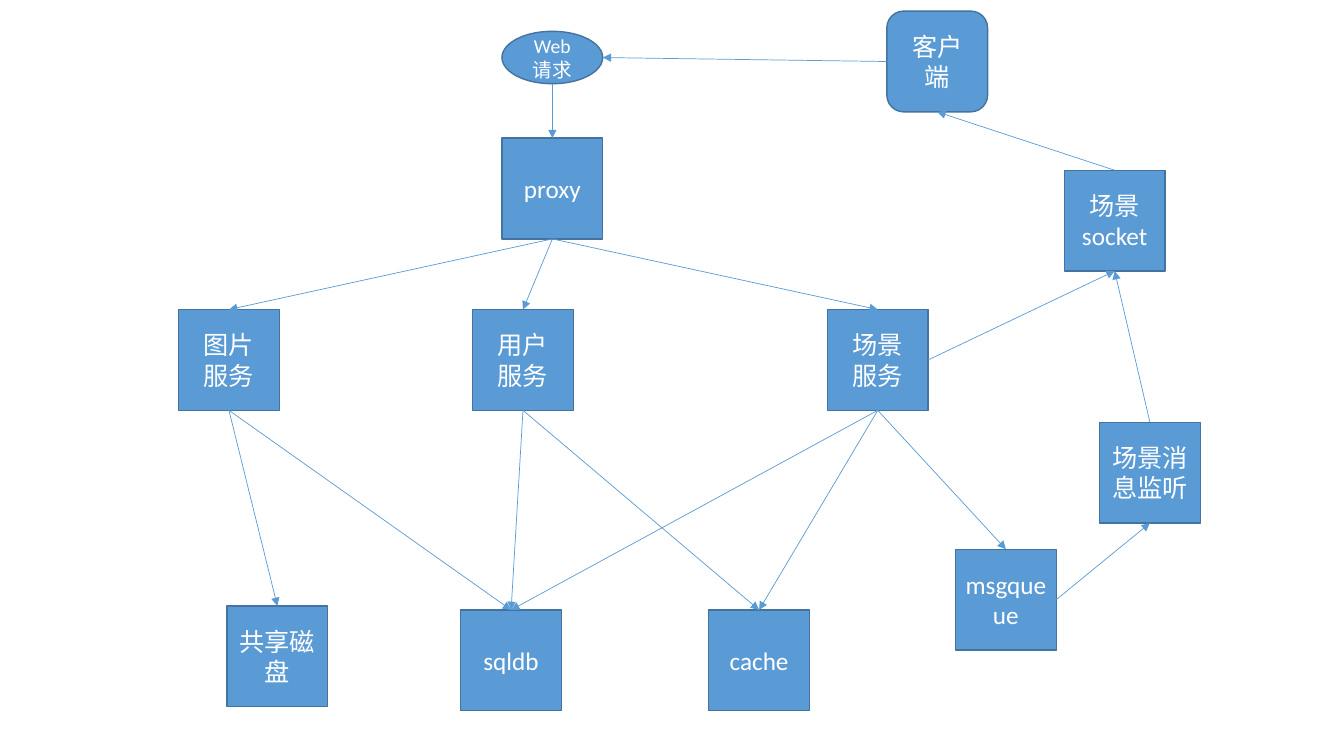
import pptx
import pptx.dml.color
import pptx.enum.shapes
import pptx.enum.text
import pptx.oxml
import pptx.oxml.ns
import pptx.util

Cm = pptx.util.Cm
Pt = pptx.util.Pt
FORM = pptx.enum.shapes.MSO_SHAPE
BLUE = pptx.dml.color.RGBColor(0x5B, 0x9B, 0xD5)
DARK_BLUE = pptx.dml.color.RGBColor(0x43, 0x73, 0x9E)
WHITE = pptx.dml.color.RGBColor(0xFF, 0xFF, 0xFF)
SIDE = 2.54
TOP, LEFT, BOTTOM, RIGHT = range(4)


def write(frame, text, size=18, font="Calibri", color=WHITE):
    """Fill a text frame with centred lines, one paragraph each."""
    frame.word_wrap = True
    frame.vertical_anchor = pptx.enum.text.MSO_ANCHOR.MIDDLE
    frame.text = text
    for line in frame.paragraphs:
        line.alignment = pptx.enum.text.PP_ALIGN.CENTER
        line.font.size = Pt(size)
        line.font.name = font
        line.font.color.rgb = color


def node(slide, x, y, text, form=FORM.RECTANGLE, height=SIDE, **text_format):
    """Draw one labelled component at x, y in centimetres."""
    component = slide.shapes.add_shape(form, Cm(x), Cm(y), Cm(SIDE), Cm(height))
    component.shadow.inherit = False
    component.fill.solid()
    component.fill.fore_color.rgb = BLUE
    component.line.color.rgb = DARK_BLUE
    component.line.width = Pt(1)
    write(component.text_frame, text, **text_format)
    return component


def anchor(component, side):
    """Return the middle point of one side of a component."""
    across, down = {TOP: (1, 0), LEFT: (0, 1), BOTTOM: (1, 2), RIGHT: (2, 1)}[side]
    return (component.left + component.width * across // 2,
            component.top + component.height * down // 2)


def link(slide, source, target, leave=BOTTOM, enter=TOP):
    """Draw an arrow from a side of source to a side of target."""
    arrow = slide.shapes.add_connector(
        pptx.enum.shapes.MSO_CONNECTOR.STRAIGHT,
        *anchor(source, leave), *anchor(target, enter))
    if source.auto_shape_type != FORM.OVAL:
        arrow.begin_connect(source, leave)
    if target.auto_shape_type != FORM.OVAL:
        arrow.end_connect(target, enter)
    arrow.line.color.rgb = BLUE
    arrow.line.width = Pt(0.5)
    namespace = pptx.oxml.ns.nsdecls("a")
    outline = arrow._element.spPr.find(pptx.oxml.ns.qn("a:ln"))
    outline.append(pptx.oxml.parse_xml(f'<a:tailEnd {namespace} type="triangle"/>'))
    arrow._element.spPr.append(pptx.oxml.parse_xml(f"<a:effectLst {namespace}/>"))


def entry(slide, x, y):
    """Place the client, its web request and the proxy."""
    request = node(slide, x, y + 0.51, "Web请求", FORM.OVAL, 1.32, size=14)
    proxy = node(slide, x, y + 3.2, "proxy")
    client = node(slide, x + 9.7, y, "客户端", FORM.ROUNDED_RECTANGLE)
    link(slide, client, request, LEFT, RIGHT)
    link(slide, request, proxy)
    return client, proxy


def services(slide, x, y):
    """Place the row of image, user and scene services."""
    return [node(slide, x + shift, y, f"{topic}\n服务")
            for shift, topic in ((0, "图片"), (7.41, "用户"), (16.35, "场景"))]


def storage(slide, x, y):
    """Place the shared disk, the database and the cache."""
    return [node(slide, x + shift, y + drop, text) for shift, drop, text in
            ((0, 0, "共享磁盘"), (5.89, 0.1, "sqldb"), (12.14, 0.1, "cache"))]


def messaging(slide, x, y):
    """Place the queue, its listener and the scene socket."""
    socket = node(slide, x + 2.74, y, "场景socket")
    listener = node(slide, x + 3.63, y + 6.35, "场景消息监听")
    queue = node(slide, x, y + 9.55, "msgqueue")
    link(slide, queue, listener, RIGHT, BOTTOM)
    link(slide, listener, socket, TOP, BOTTOM)
    return queue, socket


def architecture(slide):
    """Place the regions and link them to each other."""
    client, proxy = entry(slide, 12.65, 0.28)
    image, user, scene = services(slide, 4.5, 7.8)
    disk, database, cache = storage(slide, 5.72, 15.27)
    queue, socket = messaging(slide, 24.08, 4.29)
    flows = (
        (proxy, (image, user, scene)),
        (image, (disk, database)),
        (user, (database, cache)),
        (scene, (database, cache, queue)),
    )
    for source, targets in flows:
        for target in targets:
            link(slide, source, target)
    link(slide, scene, socket, RIGHT, BOTTOM)
    link(slide, socket, client, TOP, BOTTOM)


deck = pptx.Presentation()
deck.slide_width = Cm(33.87)
deck.slide_height = Cm(19.05)
architecture(deck.slides.add_slide(deck.slide_layouts[6]))
deck.save("out.pptx")
